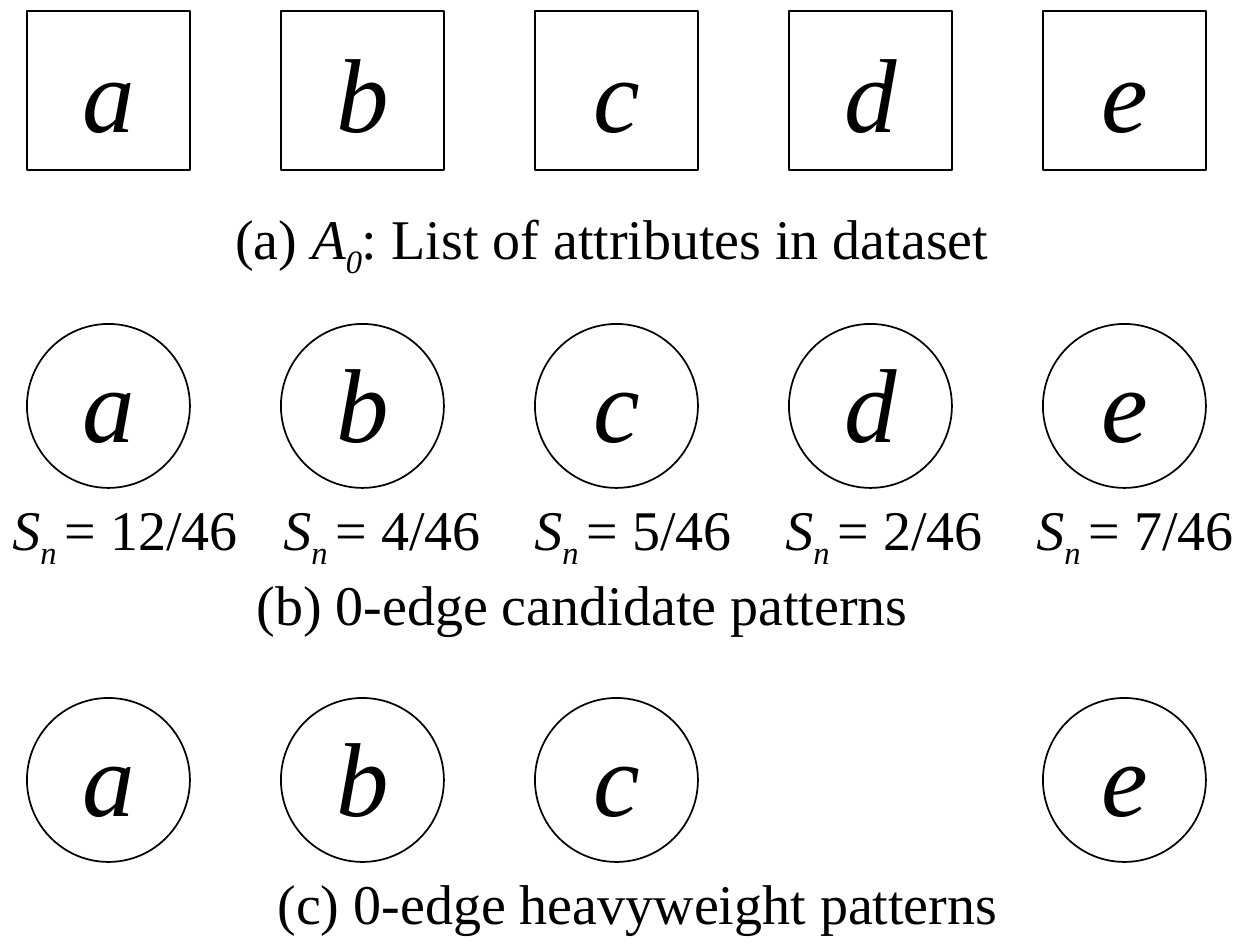
from pptx import Presentation
from pptx.dml.color import RGBColor
from pptx.enum.shapes import MSO_SHAPE
from pptx.enum.text import MSO_ANCHOR, MSO_AUTO_SIZE, PP_ALIGN
from pptx.util import Emu, Inches, Pt

PX = 914400 // 126
BLACK = RGBColor(0, 0, 0)
WHITE = RGBColor(255, 255, 255)
FONT = "Times New Roman"
ATTRIBUTES = "abcde"
SCORES = (12, 4, 5, 2, 7)
NODE_W, PITCH = 163, 254


def px(*lengths):
    return [Emu(n * PX) for n in lengths]


def add_run(p, text, size=32, italic=False, sub=False):
    r = p.add_run()
    r.text = text
    r.font.name, r.font.size, r.font.italic = FONT, Pt(size), italic
    r.font.color.rgb = BLACK
    if sub:
        r._r.get_or_add_rPr().set("baseline", "-25000")


def add_line(shapes, box, *runs):
    """Place one unwrapped line made of (text, format) runs."""
    tf = shapes.add_textbox(*px(*box)).text_frame
    tf.word_wrap = False
    tf.auto_size = MSO_AUTO_SIZE.SHAPE_TO_FIT_TEXT
    for text, fmt in runs:
        add_run(tf.paragraphs[0], text, **fmt)


def add_nodes(s, left, top, height, kind, letters=ATTRIBUTES):
    """Place a row of lettered nodes, each in the column of its attribute."""
    shapes = s.shapes.add_group_shape().shapes
    for letter in letters:
        x = left + ATTRIBUTES.index(letter) * PITCH
        sp = shapes.add_shape(kind, *px(x, top, NODE_W, height))
        sp.shadow.inherit = False
        sp.line.color.rgb, sp.line.width = BLACK, Pt(1)
        tf = sp.text_frame
        if kind == MSO_SHAPE.OVAL:
            sp.fill.solid()
            sp.fill.fore_color.rgb = WHITE
            tf.vertical_anchor = MSO_ANCHOR.BOTTOM
            tf.margin_top = tf.margin_bottom = 0
        else:
            sp.fill.background()
            tf.vertical_anchor = MSO_ANCHOR.MIDDLE
        p = tf.paragraphs[0]
        p.alignment = PP_ALIGN.CENTER
        add_run(p, letter, size=60, italic=True)


def add_scores(s, left, top, height):
    """Place the score of each attribute; the first is wider."""
    shapes = s.shapes.add_group_shape().shapes
    for i, score in enumerate(SCORES):
        x, w = (left + 20 + i * 251, 241) if i else (left, 268)
        add_line(shapes, (x, top, w, height),
                 ("S", {"italic": True}),
                 ("n ", {"italic": True, "sub": True}),
                 (f"= {score}/46 ", {}))


prs = Presentation()
prs.slide_width, prs.slide_height = Inches(10), Inches(7.5)
s = prs.slides.add_slide(prs.slide_layouts[6])

# (a) Attributes
add_nodes(s, 27, 11, 159, MSO_SHAPE.RECTANGLE)
add_line(s.shapes, (223, 197, 785, 80),
         ("(a) ", {}),
         ("A", {"italic": True}),
         ("0", {"italic": True, "sub": True}),
         (": List of attributes in dataset ", {}))

# (b) Candidate patterns with scores
add_nodes(s, 27, 324, 164, MSO_SHAPE.OVAL)
add_scores(s, 0, 488, 80)
add_line(s.shapes, (244, 563, 680, 80), ("(b) 0-edge candidate patterns ", {}))

# (c) Heavyweight patterns
add_nodes(s, 27, 698, 164, MSO_SHAPE.OVAL, "abce")
add_line(s.shapes, (265, 862, 752, 80), ("(c) 0-edge heavyweight patterns ", {}))

prs.save("out.pptx")
